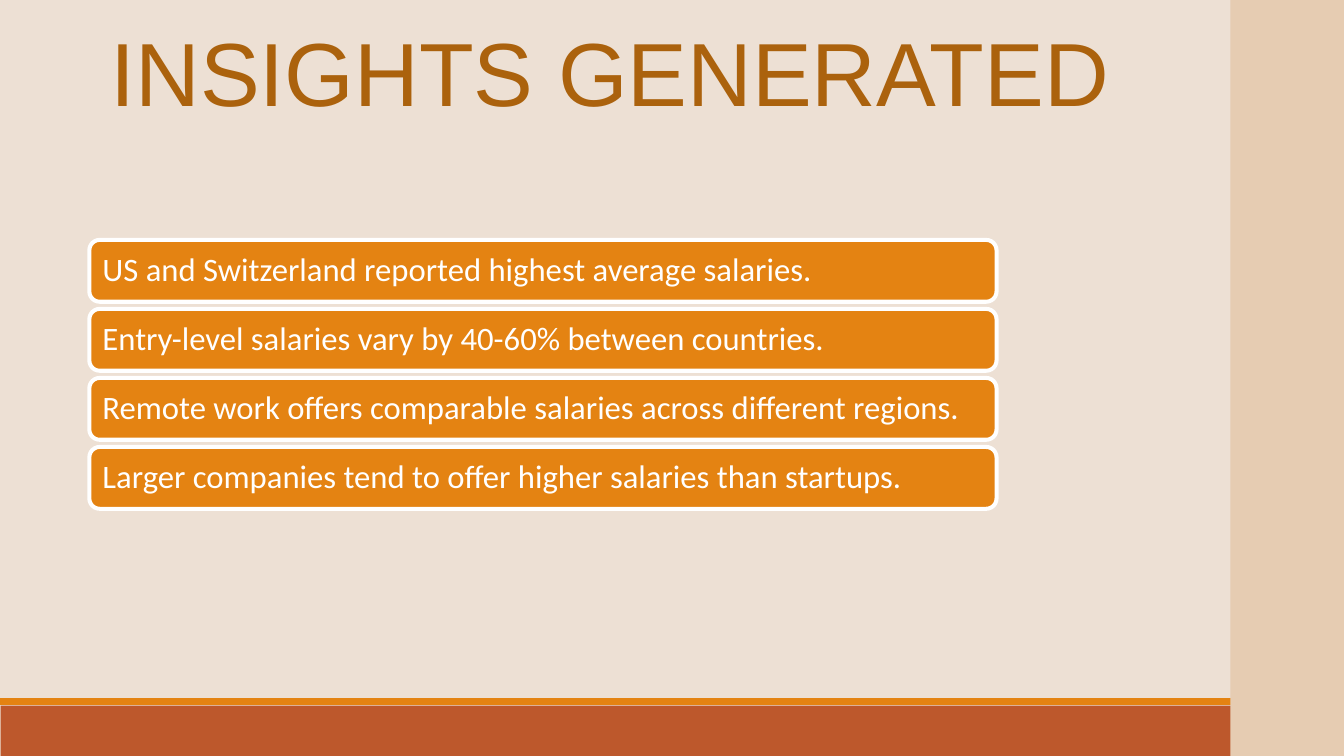
from dataclasses import dataclass

from pptx import Presentation
from pptx.dml.color import RGBColor
from pptx.enum.shapes import MSO_SHAPE
from pptx.enum.text import MSO_ANCHOR, PP_ALIGN
from pptx.util import Inches, Pt

TITLE = "INSIGHTS GENERATED"
INSIGHTS = [
    "US and Switzerland reported highest average salaries.",
    "Entry-level salaries vary by 40-60% between countries.",
    "Remote work offers comparable salaries across different regions.",
    "Larger companies tend to offer higher salaries than startups.",
]


@dataclass(frozen=True)
class Theme:
    background: str = "EDE0D4"
    side_panel: str = "E6CCB2"
    footer: str = "BD582C"
    accent: str = "E48312"
    title: str = "AB620D"
    light: str = "FFFFFF"
    title_font: str = "Arial"
    body_font: str = "Calibri"
    title_size: float = 96
    title_leading: float = 94
    body_size: float = 35
    outline: float = 4.33


THEME = Theme()
WIDTH, HEIGHT = 20, 11.25
FOOTER_TOP, STRIPE_HEIGHT = 10.5, 0.11
PANEL_LEFT = 18.31
TITLE_BOX = (1.08, 0.55, 16, 1.37)
CARD_LEFT, CARD_TOP, CARD_WIDTH, CARD_HEIGHT = 1.33, 3.57, 13.5, 0.92
CARD_PITCH = 1.027
CARD_INSET = 0.15


def color(value):
    return RGBColor.from_string(value)


def add_box(slide, kind, box, fill):
    """Add a flat preset shape without outline or shadow."""
    shape = slide.shapes.add_shape(kind, *map(Inches, box))
    shape.shadow.inherit = False
    shape.fill.solid()
    shape.fill.fore_color.rgb = color(fill)
    shape.line.fill.background()
    return shape


def set_margins(frame, inset):
    frame.margin_left = frame.margin_right = Inches(inset)
    frame.margin_top = frame.margin_bottom = Inches(inset)
    frame.word_wrap = True


def add_run(paragraph, text, font, size, fill):
    run = paragraph.add_run()
    run.text = text
    run.font.name = font
    run.font.size = Pt(size)
    run.font.color.rgb = color(fill)


def add_backdrop(slide):
    slide.background.fill.solid()
    slide.background.fill.fore_color.rgb = color(THEME.background)
    bands = [
        ((0.01, FOOTER_TOP, WIDTH - 0.01, HEIGHT - FOOTER_TOP), THEME.footer),
        ((0, FOOTER_TOP - STRIPE_HEIGHT, WIDTH, 0.1), THEME.accent),
        ((PANEL_LEFT, 0, WIDTH - PANEL_LEFT, HEIGHT), THEME.side_panel),
    ]
    for box, fill in bands:
        add_box(slide, MSO_SHAPE.RECTANGLE, box, fill)


def add_title(slide):
    frame = slide.shapes.add_textbox(*map(Inches, TITLE_BOX)).text_frame
    set_margins(frame, 0)
    paragraph = frame.paragraphs[0]
    paragraph.alignment = PP_ALIGN.CENTER
    paragraph.line_spacing = Pt(THEME.title_leading)
    add_run(paragraph, TITLE, THEME.title_font, THEME.title_size, THEME.title)


def add_card(slide, row, text):
    box = (CARD_LEFT, CARD_TOP + row * CARD_PITCH, CARD_WIDTH, CARD_HEIGHT)
    card = add_box(slide, MSO_SHAPE.ROUNDED_RECTANGLE, box, THEME.accent)
    card.line.color.rgb = color(THEME.light)
    card.line.width = Pt(THEME.outline)
    frame = card.text_frame
    set_margins(frame, CARD_INSET)
    frame.vertical_anchor = MSO_ANCHOR.MIDDLE
    paragraph = frame.paragraphs[0]
    paragraph.alignment = PP_ALIGN.LEFT
    paragraph.line_spacing = 0.9
    add_run(paragraph, text, THEME.body_font, THEME.body_size, THEME.light)


def main():
    presentation = Presentation()
    presentation.slide_width = Inches(WIDTH)
    presentation.slide_height = Inches(HEIGHT)
    slide = presentation.slides.add_slide(presentation.slide_layouts[6])
    add_backdrop(slide)
    add_title(slide)
    for row, text in enumerate(INSIGHTS):
        add_card(slide, row, text)
    presentation.save("out.pptx")


if __name__ == "__main__":
    main()
